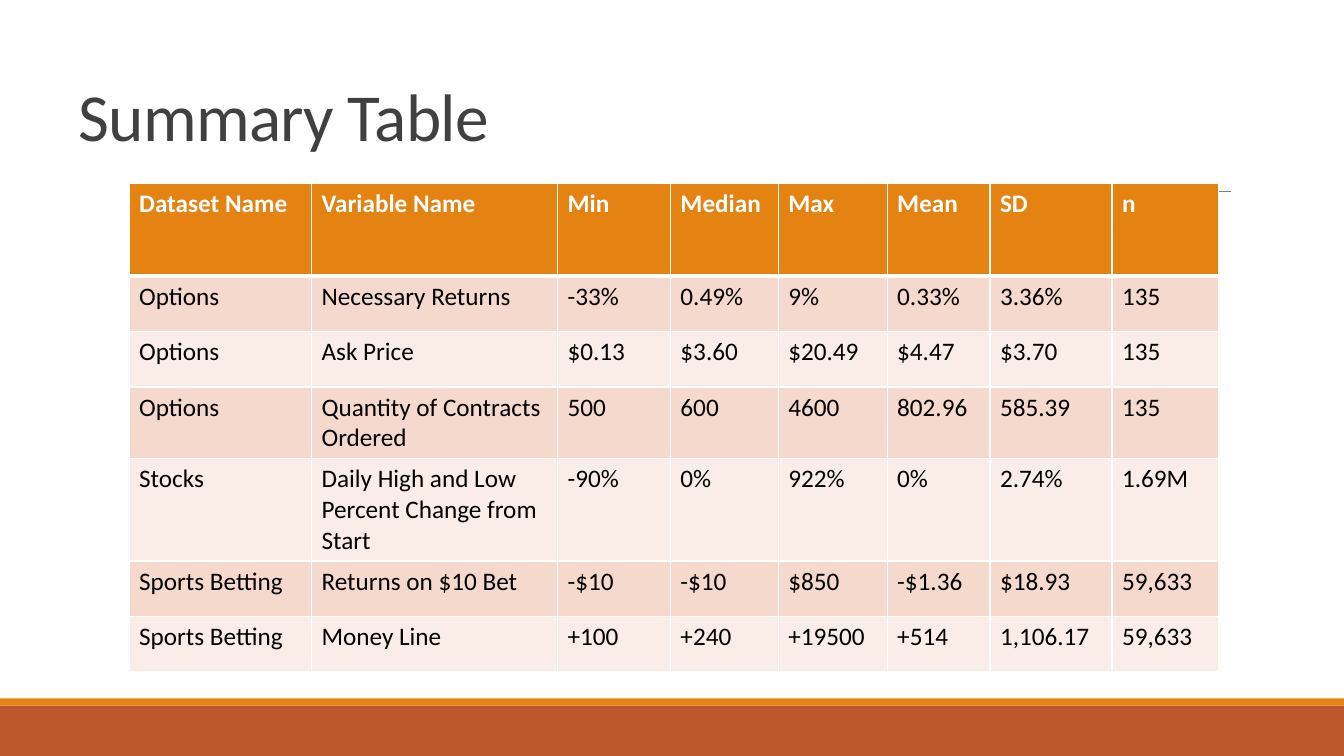
"""Build the summary table slide."""
from dataclasses import dataclass

from lxml import etree
from pptx import Presentation
from pptx.dml.color import RGBColor
from pptx.enum.shapes import MSO_CONNECTOR, MSO_SHAPE
from pptx.enum.text import MSO_ANCHOR, PP_ALIGN
from pptx.oxml.ns import qn
from pptx.util import Inches, Pt

RECTANGLE = MSO_SHAPE.RECTANGLE
STRAIGHT = MSO_CONNECTOR.STRAIGHT
BOTTOM = MSO_ANCHOR.BOTTOM
LEFT = PP_ALIGN.LEFT
GRID_STEP = Inches(0.01)
GRID_COLUMNS, GRID_ROWS = 1333, 750


@dataclass(frozen=True)
class Theme:
    """Colours, font and type sizes of the slide."""
    font: str = "Calibri"
    title_size: float = 48
    table_size: float = 18
    title: str = "404040"
    text: str = "000000"
    white: str = "FFFFFF"
    rule: str = "808080"
    orange: str = "E48312"
    rust: str = "BD582C"
    stripes: tuple[str, str] = ("F5D9CC", "FAEDE7")
    border: float = 1
    header_border: float = 3


@dataclass(frozen=True)
class Box:
    """A rectangle in grid columns and rows."""
    column: int
    row: int
    columns: int
    rows: int

    def lengths(self) -> tuple[int, int, int, int]:
        """Return left, top, width and height."""
        return (self.column * GRID_STEP, self.row * GRID_STEP,
                self.columns * GRID_STEP, self.rows * GRID_STEP)


@dataclass(frozen=True)
class Band:
    """A coloured band across the slide."""
    box: Box
    color: str


THEME = Theme()
BANDS = (
    Band(Box(0, 700, GRID_COLUMNS, 50), THEME.rust),
    Band(Box(0, 693, GRID_COLUMNS, 7), THEME.orange),
)
RULE_BOX = Box(131, 190, 1090, 0)
TITLE_BOX = Box(68, 0, 1100, 159)
TABLE_BOX = Box(128, 182, 1080, 511)
COLUMN_WIDTHS = (181, 244, 112, 107, 108, 102, 121, 106)
HEADER_HEIGHT, BODY_HEIGHT = 92, 55
SUMMARY = (
    ("Dataset Name", "Variable Name", "Min", "Median", "Max", "Mean", "SD", "n"),
    ("Options", "Necessary Returns", "-33%", "0.49%", "9%", "0.33%", "3.36%", "135"),
    ("Options", "Ask Price", "$0.13", "$3.60", "$20.49", "$4.47", "$3.70", "135"),
    ("Options", "Quantity of Contracts Ordered", "500", "600", "4600", "802.96",
     "585.39", "135"),
    ("Stocks", "Daily High and Low Percent Change from Start", "-90%", "0%", "922%",
     "0%", "2.74%", "1.69M"),
    ("Sports Betting", "Returns on $10 Bet", "-$10", "-$10", "$850", "-$1.36",
     "$18.93", "59,633"),
    ("Sports Betting", "Money Line", "+100", "+240", "+19500", "+514", "1,106.17",
     "59,633"),
)


def style_run(run, size: float, color: str, bold: bool = False) -> None:
    """Set the font of a run."""
    run.font.name = THEME.font
    run.font.size = Pt(size)
    run.font.bold = bold
    run.font.color.rgb = RGBColor.from_string(color)


def draw_band(slide, band: Band) -> None:
    """Draw one filled band."""
    shape = slide.shapes.add_shape(RECTANGLE, *band.box.lengths())
    shape.shadow.inherit = False
    shape.fill.solid()
    shape.fill.fore_color.rgb = RGBColor.from_string(band.color)
    shape.line.fill.background()


def draw_rule(slide, box: Box) -> None:
    """Draw the thin rule below the title."""
    left, top, width, height = box.lengths()
    rule = slide.shapes.add_connector(STRAIGHT, left, top, left + width, top + height)
    rule.line.color.rgb = RGBColor.from_string(THEME.rule)
    rule.line.width = Pt(0.5)
    etree.SubElement(rule._element.spPr, qn("a:effectLst"))


def draw_title(slide, text: str, box: Box) -> None:
    """Fill and place the title placeholder."""
    title = slide.shapes.title
    title.left, title.top, title.width, title.height = box.lengths()
    frame = title.text_frame
    frame.text = text
    frame.word_wrap = True
    frame.vertical_anchor = BOTTOM
    paragraph = frame.paragraphs[0]
    paragraph.alignment = LEFT
    paragraph.line_spacing = 0.85
    run = paragraph.runs[0]
    style_run(run, THEME.title_size, THEME.title)
    run.font._element.set("spc", "-50")


def add_borders(cell, top: float, bottom: float) -> None:
    """Give a cell white borders with the given top and bottom widths."""
    properties = cell._tc.get_or_add_tcPr()
    widths = {"a:lnL": THEME.border, "a:lnR": THEME.border,
              "a:lnT": top, "a:lnB": bottom}
    for tag, width in widths.items():
        line = etree.SubElement(properties, qn(tag), w=str(Pt(width)))
        fill = etree.SubElement(line, qn("a:solidFill"))
        etree.SubElement(fill, qn("a:srgbClr"), val=THEME.white)


def format_cell(cell, text: str, row_index: int) -> None:
    """Write a cell and style it as header or striped body."""
    header = row_index == 0
    cell.text = text
    color = THEME.white if header else THEME.text
    style_run(cell.text_frame.paragraphs[0].runs[0], THEME.table_size, color, header)
    add_borders(cell,
                top=THEME.header_border if row_index == 1 else THEME.border,
                bottom=THEME.header_border if header else THEME.border)
    fill = THEME.orange if header else THEME.stripes[(row_index - 1) % 2]
    cell.fill.solid()
    cell.fill.fore_color.rgb = RGBColor.from_string(fill)


def draw_table(slide, box: Box) -> None:
    """Draw the summary table."""
    frame = slide.shapes.add_table(len(SUMMARY), len(COLUMN_WIDTHS), *box.lengths())
    table = frame.table
    for column, width in zip(table.columns, COLUMN_WIDTHS):
        column.width = width * GRID_STEP
    for row_index, values in enumerate(SUMMARY):
        height = BODY_HEIGHT if row_index else HEADER_HEIGHT
        table.rows[row_index].height = height * GRID_STEP
        for column_index, text in enumerate(values):
            format_cell(table.cell(row_index, column_index), text, row_index)
    frame.height = box.rows * GRID_STEP


def main() -> None:
    """Build and save the presentation."""
    presentation = Presentation()
    presentation.slide_width = GRID_COLUMNS * GRID_STEP
    presentation.slide_height = GRID_ROWS * GRID_STEP
    slide = presentation.slides.add_slide(
        presentation.slide_layouts.get_by_name("Title Only"))
    for band in BANDS:
        draw_band(slide, band)
    draw_rule(slide, RULE_BOX)
    draw_title(slide, "Summary Table", TITLE_BOX)
    draw_table(slide, TABLE_BOX)
    presentation.save("out.pptx")


if __name__ == "__main__":
    main()
